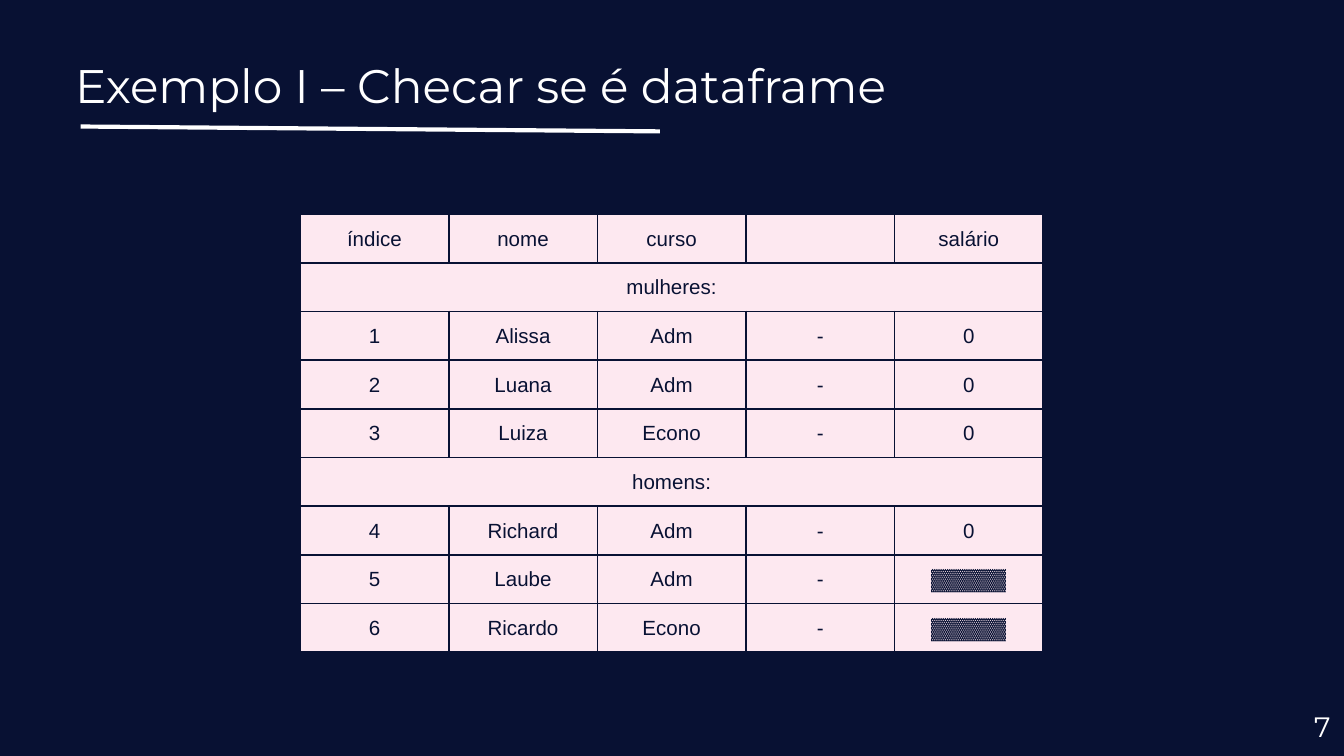
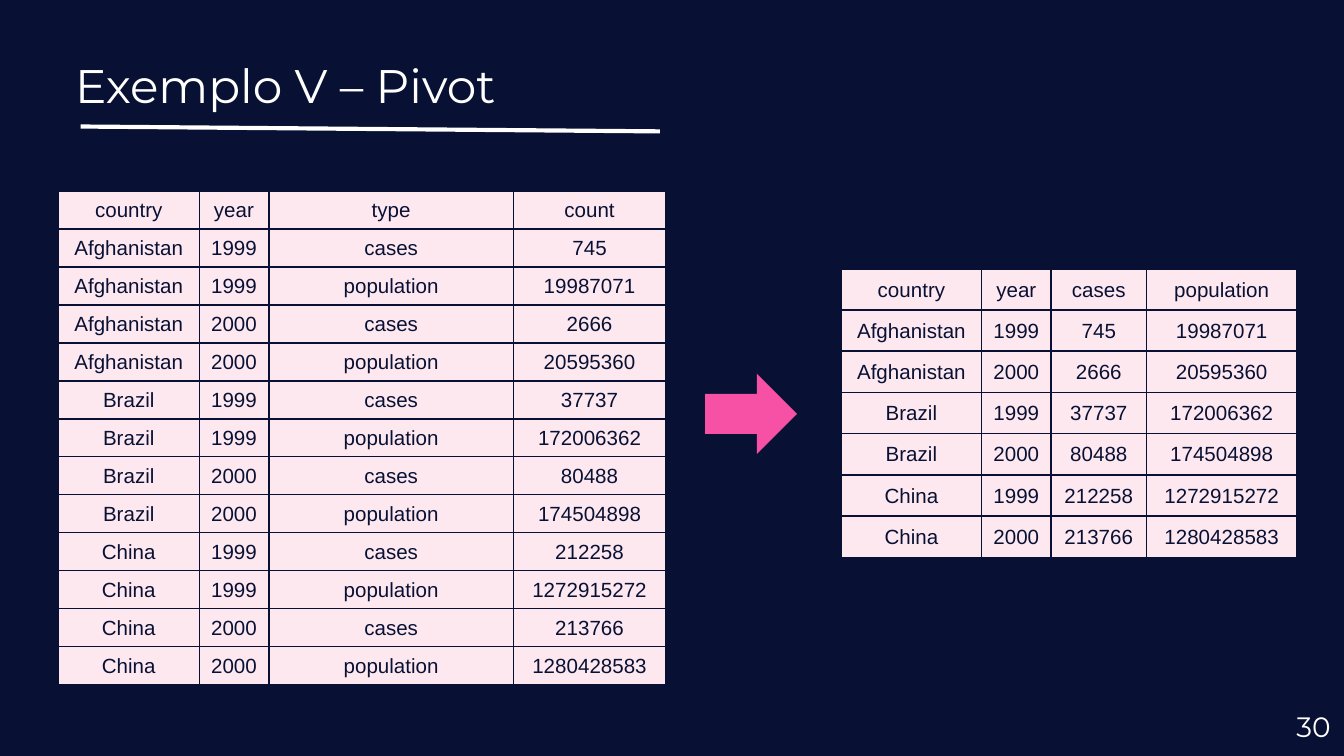
"""Build two slides of data frame examples with styled tables."""
from lxml import etree
from pptx import Presentation
from pptx.dml.color import RGBColor
from pptx.enum.shapes import MSO_CONNECTOR, MSO_SHAPE
from pptx.enum.text import MSO_ANCHOR, MSO_AUTO_SIZE, PP_ALIGN
from pptx.oxml.ns import qn
from pptx.util import Pt

STRAIGHT = MSO_CONNECTOR.STRAIGHT
RIGHT_ARROW = MSO_SHAPE.RIGHT_ARROW
TOP, MIDDLE = MSO_ANCHOR.TOP, MSO_ANCHOR.MIDDLE
NO_AUTOFIT = MSO_AUTO_SIZE.NONE
LEFT, CENTER, RIGHT = PP_ALIGN.LEFT, PP_ALIGN.CENTER, PP_ALIGN.RIGHT

NAVY, BLUSH, PINK, WHITE = "081133", "FDE8F0", "F751A5", "FFFFFF"
TITLE_ONLY = 5

PEOPLE = [
    ["índice", "nome", "curso", "", "salário"],
    ["mulheres:"],
    ["1", "Alissa", "Adm", "-", "0"],
    ["2", "Luana", "Adm", "-", "0"],
    ["3", "Luiza", "Econo", "-", "0"],
    ["homens:"],
    ["4", "Richard", "Adm", "-", "0"],
    ["5", "Laube", "Adm", "-", "▓▓▓▓▓"],
    ["6", "Ricardo", "Econo", "-", "▓▓▓▓▓"],
]
PIVOTED = [
    ["country", "year", "cases", "population"],
    ["Afghanistan", "1999", "745", "19987071"],
    ["Afghanistan", "2000", "2666", "20595360"],
    ["Brazil", "1999", "37737", "172006362"],
    ["Brazil", "2000", "80488", "174504898"],
    ["China", "1999", "212258", "1272915272"],
    ["China", "2000", "213766", "1280428583"],
]


def color(value):
    """Return the colour for a hex string."""
    return RGBColor.from_string(value)


def write(frame, text, font="Montserrat", size=11, ink=WHITE, align=LEFT):
    """Put one formatted paragraph in a text frame."""
    paragraph = frame.paragraphs[0]
    paragraph.alignment = align
    if text:
        run = paragraph.add_run()
        run.text = text
        run.font.name = font
        run.font.size = Pt(size)
        run.font.color.rgb = color(ink)


def unpivot(rows):
    """Turn the value columns of a table into type and count rows."""
    types = rows[0][2:]
    return [rows[0][:2] + ["type", "count"]] + [
        row[:2] + [kind, count]
        for row in rows[1:]
        for kind, count in zip(types, row[2:])
    ]


class Deck:
    """Hold the presentation, its style and the current slide."""

    def __init__(self):
        """Start an empty widescreen presentation."""
        self.presentation = Presentation()
        self.presentation.slide_width = Pt(720)
        self.presentation.slide_height = Pt(405)
        self.slide = None

    def add_slide(self, title, number):
        """Add a slide with its background, title, underline and number."""
        layout = self.presentation.slide_layouts[TITLE_ONLY]
        self.slide = self.presentation.slides.add_slide(layout)
        background = self.slide.background.fill
        background.solid()
        background.fore_color.rgb = color(NAVY)
        self.underline()
        self.text(self.slide.shapes.title, title, (33, 23, 671, 45.4), TOP, size=25.2)
        number_box = self.slide.shapes.add_textbox(0, 0, 0, 0)
        self.text(number_box, number, (676.8, 373.7, 43.2, 31), MIDDLE,
                  size=15, align=RIGHT)

    def text(self, shape, text, box, anchor, **style):
        """Place a text shape and fill it."""
        shape.left, shape.top, shape.width, shape.height = map(Pt, box)
        frame = shape.text_frame
        frame.word_wrap = True
        frame.auto_size = NO_AUTOFIT
        frame.vertical_anchor = anchor
        frame.margin_left = frame.margin_right = Pt(7.2)
        frame.margin_top = frame.margin_bottom = Pt(7.2)
        write(frame, text, **style)

    def underline(self):
        """Draw the slightly tilted line below the title."""
        line = self.slide.shapes.add_connector(
            STRAIGHT, Pt(43.2), Pt(67.8), Pt(353.5), Pt(70.4))
        line.line.color.rgb = color(WHITE)
        line.line.width = Pt(2.25)
        etree.SubElement(line._element.spPr, qn("a:effectLst"))

    def arrow(self, left, top, width, height):
        """Draw a pink block arrow."""
        shape = self.slide.shapes.add_shape(
            RIGHT_ARROW, Pt(left), Pt(top), Pt(width), Pt(height))
        shape.shadow.inherit = False
        shape.fill.solid()
        shape.fill.fore_color.rgb = color(PINK)
        shape.line.fill.background()

    def table(self, rows, left, top, widths, row_height):
        """Add a table; a row with a single value spans all columns."""
        table = self.slide.shapes.add_table(
            len(rows), len(widths), Pt(left), Pt(top),
            Pt(sum(widths)), Pt(row_height * len(rows))).table
        table.first_row = table.horz_banding = False
        for column, width in zip(table.columns, widths):
            column.width = Pt(width)
        for index, values in enumerate(rows):
            table.rows[index].height = Pt(row_height)
            for position in range(len(widths)):
                self.style_cell(table.cell(index, position))
            if len(values) == 1:
                table.cell(index, 0).merge(table.cell(index, len(widths) - 1))
            for position, value in enumerate(values):
                write(table.cell(index, position).text_frame, value,
                      font="Arial", ink=NAVY, align=CENTER)

    def style_cell(self, cell):
        """Set the margins, borders and fill of a table cell."""
        cell.vertical_anchor = MIDDLE
        cell.margin_left = cell.margin_right = cell.margin_top = Pt(0.6)
        cell.margin_bottom = 0
        properties = cell._tc.get_or_add_tcPr()
        for side in ("lnL", "lnR", "lnT", "lnB"):
            border = etree.SubElement(properties, qn(f"a:{side}"), w=str(Pt(1)))
            fill = etree.SubElement(border, qn("a:solidFill"))
            etree.SubElement(fill, qn("a:srgbClr"), val=NAVY)
        cell.fill.solid()
        cell.fill.fore_color.rgb = color(BLUSH)


def main():
    """Build both slides and save the file."""
    deck = Deck()
    deck.add_slide("Exemplo I – Checar se é dataframe", "7")
    deck.table(PEOPLE, 160.8, 114.7, [79.6] * 5, 26.1)

    deck.add_slide("Exemplo V – Pivot", "30")
    deck.table(PIVOTED, 450.7, 144, [75.2, 37.2, 51.2, 80.5], 22.1)
    deck.arrow(377.8, 200.2, 49.2, 43)
    deck.table(unpivot(PIVOTED), 31.2, 102.4, [75.6, 37.2, 131.2, 81.4], 20.33)
    deck.presentation.save("out.pptx")


if __name__ == "__main__":
    main()
